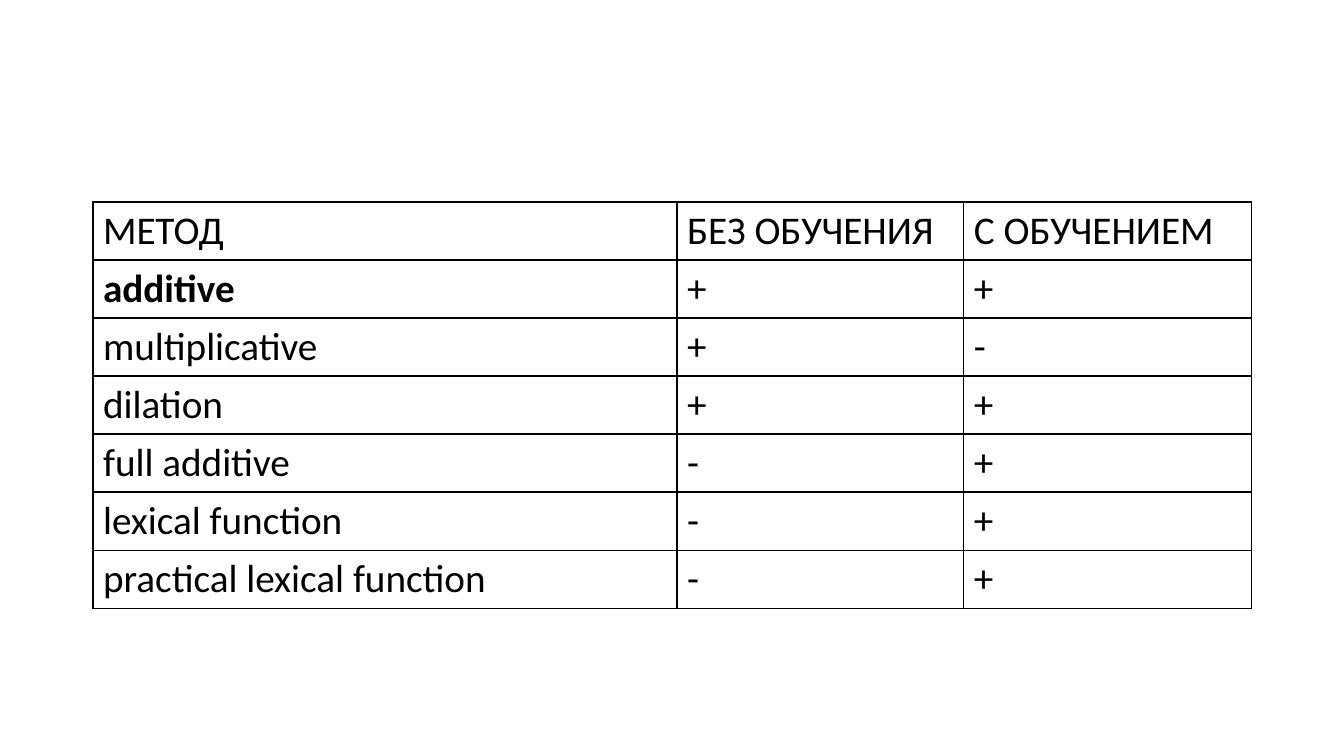
"""Build a slide with a table comparing composition methods with and without training."""
from dataclasses import dataclass

from lxml.etree import SubElement as Sub
from pptx import Presentation
from pptx.dml.color import RGBColor as Rgb
from pptx.oxml.ns import qn
from pptx.util import Emu, Pt

EMU_PER_PIXEL = 914400 / 100.8


@dataclass(frozen=True)
class Theme:
    """Colours, font and type sizes of the slide."""
    font: str = "Calibri"
    body_size: int = 28
    ink: str = "000000"
    paper: str = "FFFFFF"
    rule_width: int = 1


def px(length):
    """Turn picture pixels into EMU."""
    return Emu(round(length * EMU_PER_PIXEL))


class SlideBuilder:
    """Hold the style and the slide being filled."""

    def __init__(self, slide, theme):
        """Keep the slide and theme, and paint the background."""
        self.slide = slide
        self.theme = theme
        background = slide.background.fill
        background.solid()
        background.fore_color.rgb = Rgb.from_string(theme.paper)

    def border(self, cell):
        """Draw a thin rule on all four sides of a cell."""
        properties = cell._tc.get_or_add_tcPr()
        for side in ("lnL", "lnR", "lnT", "lnB"):
            rule = Sub(properties, qn(f"a:{side}"), w=str(Pt(self.theme.rule_width)))
            Sub(Sub(rule, qn("a:solidFill")), qn("a:srgbClr"), val=self.theme.ink)

    def cell(self, cell, text, bold):
        """Write and style one table cell."""
        cell.text_frame.text = text
        font = cell.text_frame.paragraphs[0].runs[0].font
        font.name = self.theme.font
        font.size = Pt(self.theme.body_size)
        font.bold = bold
        font.color.rgb = Rgb.from_string(self.theme.ink)
        self.border(cell)
        cell.fill.background()

    def table(self, left, top, widths, row_height, rows, bold_labels):
        """Add a ruled table with equal row heights."""
        frame = self.slide.shapes.add_table(
            len(rows), len(widths), px(left), px(top),
            px(sum(widths)), px(row_height * len(rows)))
        table = frame.table
        table.first_row = table.horz_banding = False
        for column, width in zip(table.columns, widths):
            column.width = px(width)
        for row, texts in zip(table.rows, rows):
            row.height = px(row_height)
            for cell, text in zip(row.cells, texts):
                self.cell(cell, text, text in bold_labels)


METHODS = [
    ("МЕТОД", "БЕЗ ОБУЧЕНИЯ", "С ОБУЧЕНИЕМ"),
    ("additive", "+", "+"),
    ("multiplicative", "+", "-"),
    ("dilation", "+", "+"),
    ("full additive", "-", "+"),
    ("lexical function", "-", "+"),
    ("practical lexical function", "-", "+"),
]

deck = Presentation()
deck.slide_width, deck.slide_height = px(1344), px(756)
comparison = SlideBuilder(deck.slides.add_slide(deck.slide_layouts[6]), Theme())
comparison.table(93, 202, (584, 287, 288), 58, METHODS, {"additive"})
deck.save("out.pptx")
